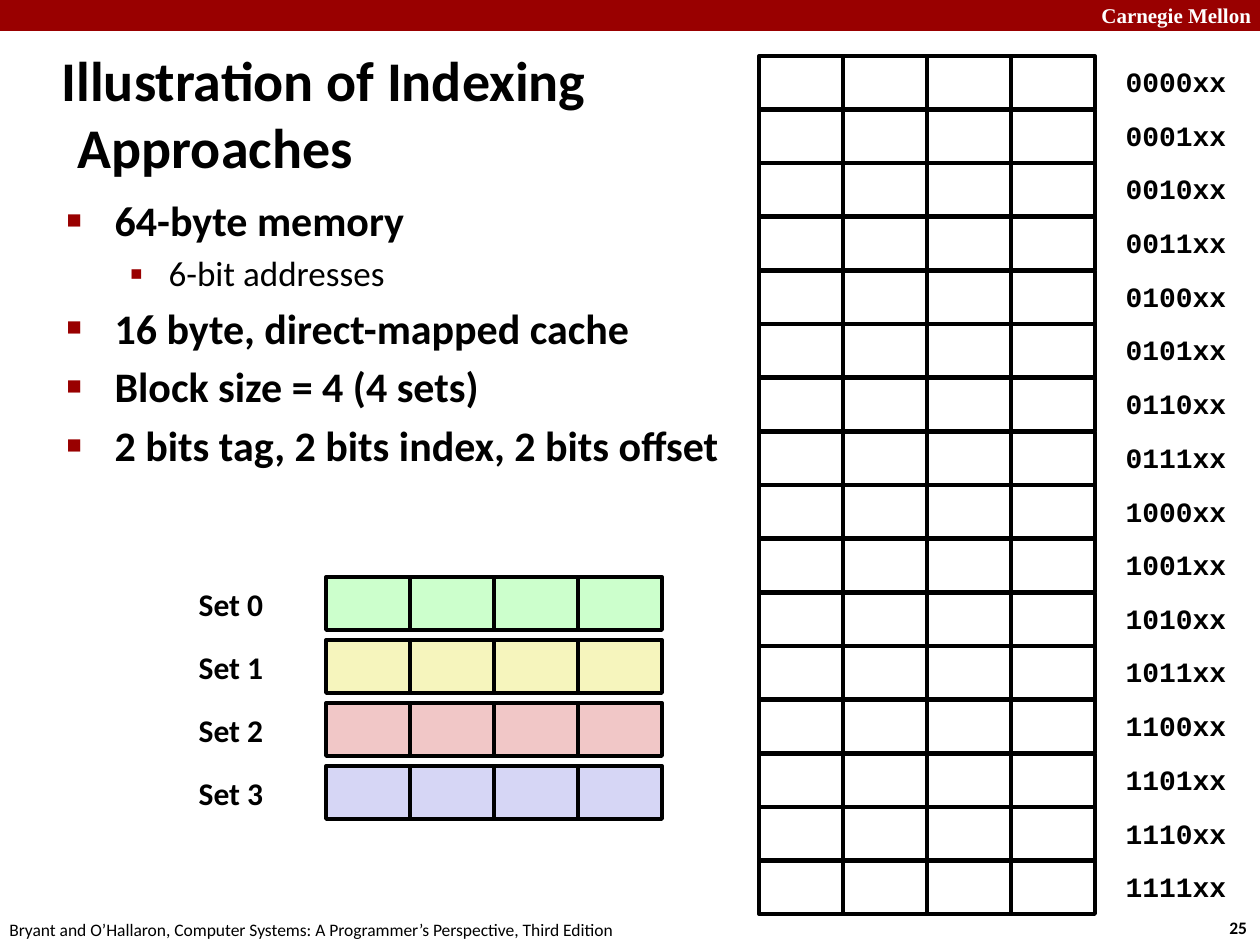
from lxml import etree
from pptx import Presentation
from pptx.dml.color import RGBColor
from pptx.enum.shapes import MSO_SHAPE
from pptx.enum.text import MSO_ANCHOR, MSO_AUTO_SIZE, PP_ALIGN
from pptx.oxml.ns import qn
from pptx.util import Emu, Pt

RECT = MSO_SHAPE.RECTANGLE
TOP, MIDDLE = MSO_ANCHOR.TOP, MSO_ANCHOR.MIDDLE
LEFT, CENTER = PP_ALIGN.LEFT, PP_ALIGN.CENTER
FIXED = MSO_AUTO_SIZE.NONE

RED = RGBColor(0x99, 0x00, 0x00)
BLACK = RGBColor(0x00, 0x00, 0x00)
WHITE = RGBColor(0xFF, 0xFF, 0xFF)
GREEN = RGBColor(0xCC, 0xFF, 0xCC)
YELLOW = RGBColor(0xF6, 0xF5, 0xBD)
PINK = RGBColor(0xF1, 0xC7, 0xC7)
BLUE = RGBColor(0xD6, 0xD6, 0xF5)

SANS, MONO, SERIF = "Calibri", "Courier New", "Times New Roman"
SCALE = 914400 / 126
CELL_W, CELL_H, COLS = 84, 53, 4

LEVELS = [
    {"size": 24, "bold": True, "margin": 48, "hang": 48, "mark": "■", "pct": 60},
    {"size": 20, "bold": False, "margin": 102, "hang": 39, "mark": "▪", "pct": 110},
]
POINTS = [
    (0, "64-byte memory"),
    (1, "6-bit addresses"),
    (0, "16 byte, direct-mapped cache"),
    (0, "Block size = 4 (4 sets)"),
    (0, "2 bits tag, 2 bits index, 2 bits offset"),
]


def px(n):
    return Emu(round(n * SCALE))


def place(shape, box):
    shape.left, shape.top, shape.width, shape.height = map(px, box)


def add_run(para, text, size, bold=True, face=SANS, color=BLACK):
    run = para.add_run()
    run.text = text
    font = run.font
    font.size, font.bold, font.name = Pt(size), bold, face
    font.color.rgb = color


def add_label(slide, box, text, size, align=LEFT, anchor=TOP, **style):
    frame = slide.shapes.add_textbox(*map(px, box)).text_frame
    frame.word_wrap = True
    frame.vertical_anchor = anchor
    para = frame.paragraphs[0]
    para.alignment = align
    add_run(para, text, size, **style)


def set_indent(para, margin, hang):
    props = para._p.get_or_add_pPr()
    props.set("marL", str(px(margin)))
    props.set("indent", str(px(-hang)))
    return props


def add_bullet(para, level):
    props = set_indent(para, level["margin"], level["hang"])
    tint = etree.SubElement(props, qn("a:buClr"))
    etree.SubElement(tint, qn("a:srgbClr"), val=str(RED))
    etree.SubElement(props, qn("a:buSzPct"), val=str(level["pct"] * 1000))
    etree.SubElement(props, qn("a:buChar"), char=level["mark"])


def add_header(slide, box):
    x, y, w, h = box
    bar = slide.shapes.add_shape(RECT, *map(px, box))
    bar.shadow.inherit = False
    bar.fill.solid()
    bar.fill.fore_color.rgb = RED
    bar.line.fill.background()
    add_label(slide, (x + w - 171, y - 4, 180, 38), "Carnegie Mellon", 12,
              face=SERIF, color=WHITE)


def add_footer(slide, box):
    x, y, w, h = box
    add_label(slide, (x - 3, y + 2, 640, h),
              "Bryant and O’Hallaron, Computer Systems: "
              "A Programmer’s Perspective, Third Edition", 10, bold=False)
    add_label(slide, (x + w - 43, y, 47, h), "25", 10)


def add_title(slide, box):
    title = slide.shapes.title
    place(title, box)
    frame = title.text_frame
    frame.auto_size = FIXED
    frame.vertical_anchor = MIDDLE
    para = frame.paragraphs[0]
    para.alignment = LEFT
    set_indent(para, 16, 16)
    add_run(para, "Illustration of Indexing Approaches", 32)


def add_list(slide, box):
    body = slide.placeholders[1]
    place(body, box)
    frame = body.text_frame
    frame.auto_size = FIXED
    for i, (depth, text) in enumerate(POINTS):
        level = LEVELS[depth]
        para = frame.add_paragraph() if i else frame.paragraphs[0]
        para.level = depth
        add_bullet(para, level)
        para.space_before = Pt(level["size"] * 0.2 if i else 0)
        add_run(para, text, level["size"], level["bold"])


def add_row(slide, x, y, color=None):
    group = slide.shapes.add_group_shape()
    for col in range(COLS):
        cell = group.shapes.add_shape(
            RECT, px(x + col * CELL_W), px(y), px(CELL_W), px(CELL_H))
        cell.shadow.inherit = False
        if color is None:
            cell.fill.background()
        else:
            cell.fill.solid()
            cell.fill.fore_color.rgb = color
        cell.line.color.rgb = BLACK
        cell.line.width = Pt(2.25)


def add_cache(slide, box):
    x, y, w, h = box
    colors = [GREEN, YELLOW, PINK, BLUE]
    step = (h - CELL_H) / (len(colors) - 1)
    for i, color in enumerate(colors):
        top = y + i * step
        add_row(slide, x + w - COLS * CELL_W, top, color)
        add_label(slide, (x, top, 126, CELL_H), f"Set {i}", 18, CENTER, MIDDLE)


def add_memory(slide, box):
    x, y, w, h = box
    count = 16
    step = (h - CELL_H) / (count - 1)
    for i in range(count):
        top = y + i * step
        add_row(slide, x, top)
        add_label(slide, (x + w - 126, top - 1, 126, CELL_H), f"{i:04b}xx", 16,
                  CENTER, MIDDLE, face=MONO)


def main():
    deck = Presentation()
    deck.slide_width, deck.slide_height = px(1260), px(945)
    slide = deck.slides.add_slide(deck.slide_layouts[1])
    add_header(slide, (0, 0, 1260, 31))
    add_footer(slide, (0, 911, 1260, 34))
    add_title(slide, (49, 60, 685, 105))
    add_list(slide, (54, 188, 806, 149))
    add_cache(slide, (168, 577, 494, 242))
    add_memory(slide, (759, 56, 480, 858))
    deck.save("out.pptx")


if __name__ == "__main__":
    main()
